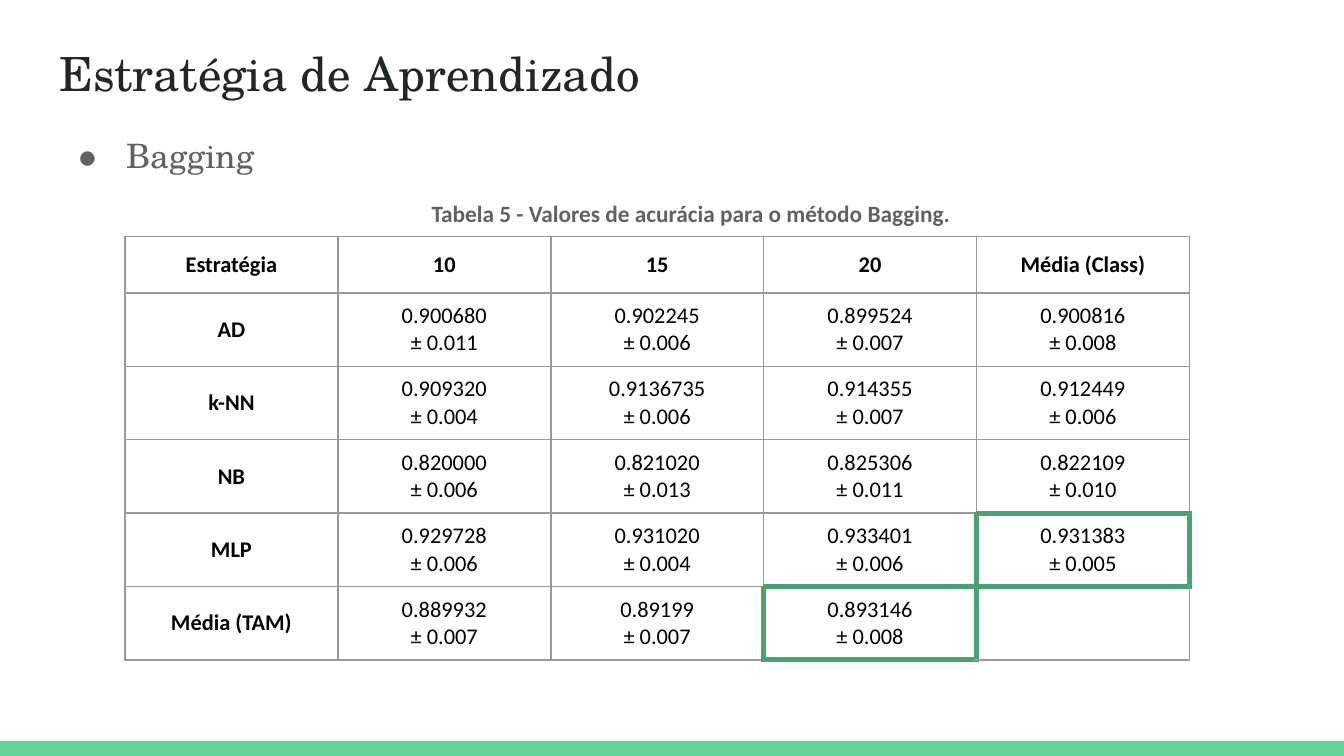
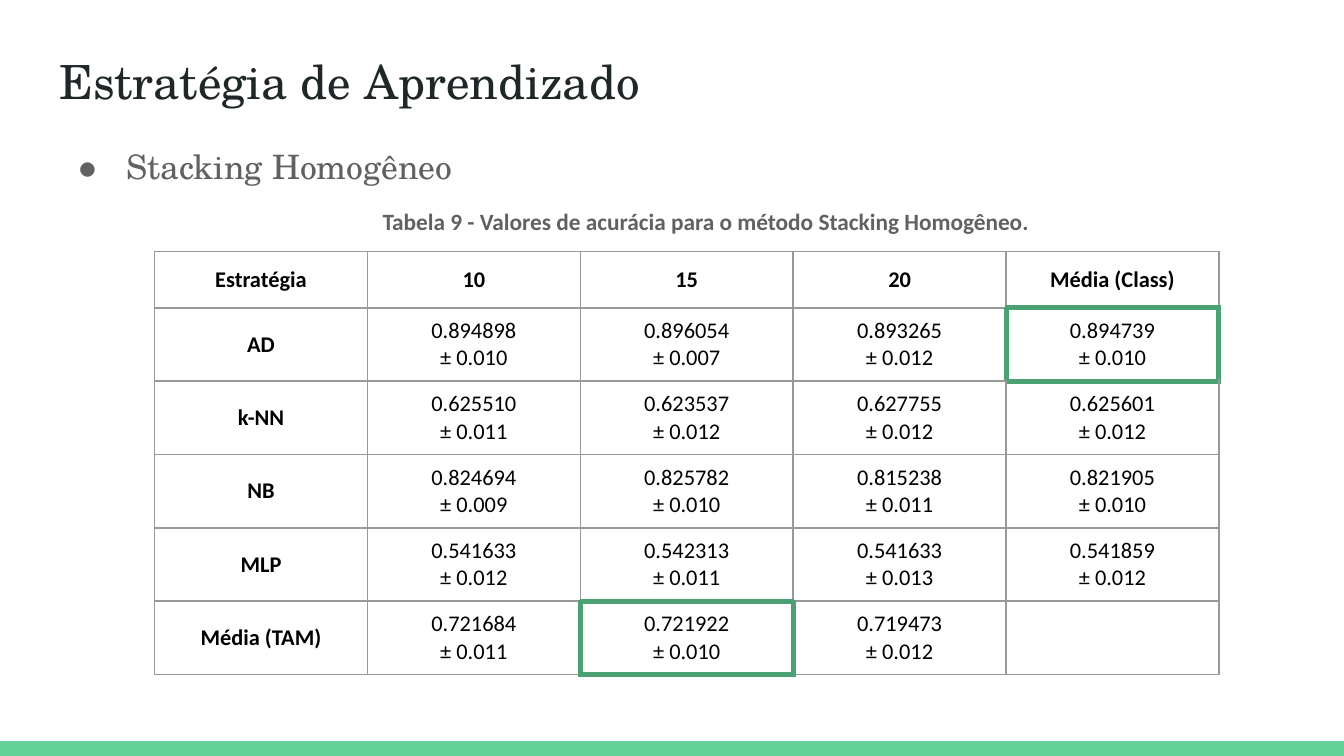
from dataclasses import dataclass

from lxml import etree
from pptx import Presentation
from pptx.dml.color import RGBColor
from pptx.enum.shapes import MSO_SHAPE
from pptx.enum.text import MSO_ANCHOR, MSO_AUTO_SIZE, PP_ALIGN
from pptx.oxml.ns import qn
from pptx.util import Inches, Pt

LEFT, CENTER = PP_ALIGN.LEFT, PP_ALIGN.CENTER
TOP, MIDDLE = MSO_ANCHOR.TOP, MSO_ANCHOR.MIDDLE
NO_FIT, GROW = MSO_AUTO_SIZE.NONE, MSO_AUTO_SIZE.SHAPE_TO_FIT_TEXT
RECTANGLE = MSO_SHAPE.RECTANGLE


@dataclass(frozen=True)
class Theme:
    band: str = "63D297"
    title: str = "202729"
    body: str = "616161"
    cell: str = "000000"
    grid: str = "999999"
    highlight: str = "4BA173"
    serif: str = "TeX Gyre Schola"
    sans: str = "Calibri"
    title_size: float = 25.2
    body_size: float = 18
    caption_size: float = 12.5
    cell_size: float = 12
    grid_width: float = 1
    highlight_width: float = 3


THEME = Theme()
SLIDE_W = 10
SLIDE_H = SLIDE_W * 9 / 16
BAND_H = 0.11
TITLE = "Estratégia de Aprendizado"
HEADER = ["Estratégia", "10", "15", "20", "Média (Class)"]
TABLE_W, ROW_H, CELL_INSET = 7.92, 0.42, 0.07

# Boxes are left, top, width, height; highlights are (row, column)
SLIDES = [
    dict(
        title_box=(0.34, 0.23, 9.32, 0.63),
        topic="Bagging",
        topic_box=(0.34, 0.86, 9.32, 3.97),
        caption="Tabela 5 - Valores de acurácia para o método Bagging.",
        caption_box=(1.73, 1.35, 6.32, 0.41),
        table_at=(0.93, 1.76),
        highlights={(4, 4), (5, 3)},
        rows=[
            ["AD", "0.900680 ± 0.011", "0.902245 ± 0.006", "0.899524 ± 0.007", "0.900816 ± 0.008"],
            ["k-NN", "0.909320 ± 0.004", "0.9136735 ± 0.006", "0.914355 ± 0.007", "0.912449 ± 0.006"],
            ["NB", "0.820000 ± 0.006", "0.821020 ± 0.013", "0.825306 ± 0.011", "0.822109 ± 0.010"],
            ["MLP", "0.929728 ± 0.006", "0.931020 ± 0.004", "0.933401 ± 0.006", "0.931383 ± 0.005"],
            ["Média (TAM)", "0.889932 ± 0.007", "0.89199 ± 0.007", "0.893146 ± 0.008", ""],
        ],
    ),
    dict(
        title_box=(0.34, 0.29, 9.32, 0.63),
        topic="Stacking Homogêneo",
        topic_box=(0.34, 0.94, 9.32, 3.74),
        caption="Tabela 9 - Valores de acurácia para o método Stacking Homogêneo.",
        caption_box=(1.84, 1.41, 6.32, 0.41),
        table_at=(1.15, 1.87),
        highlights={(1, 4), (5, 2)},
        rows=[
            ["AD", "0.894898 ± 0.010", "0.896054 ± 0.007", "0.893265 ± 0.012", "0.894739 ± 0.010"],
            ["k-NN", "0.625510 ± 0.011", "0.623537 ± 0.012", "0.627755 ± 0.012", "0.625601 ± 0.012"],
            ["NB", "0.824694 ± 0.009", "0.825782 ± 0.010", "0.815238 ± 0.011", "0.821905 ± 0.010"],
            ["MLP", "0.541633 ± 0.012", "0.542313 ± 0.011", "0.541633 ± 0.013", "0.541859 ± 0.012"],
            ["Média (TAM)", "0.721684 ± 0.011", "0.721922 ± 0.010", "0.719473 ± 0.012", ""],
        ],
    ),
]


def inches(box):
    return [Inches(v) for v in box]


def style_text(tf, font, size, color, align, bold=False):
    for p in tf.paragraphs:
        p.alignment = align
        for r in p.runs:
            r.font.name = font
            r.font.size = Pt(size)
            r.font.bold = bold
            r.font.color.rgb = RGBColor.from_string(color)


def fill_frame(sp, box, text, fit):
    """Place a text shape, set its frame and return the frame."""
    sp.left, sp.top, sp.width, sp.height = inches(box)
    tf = sp.text_frame
    tf.word_wrap = True
    tf.auto_size = fit
    tf.vertical_anchor = TOP
    tf.margin_left = tf.margin_right = tf.margin_top = tf.margin_bottom = Inches(0.1)
    tf.text = text
    return tf


def set_indent(p, margin, indent):
    pPr = p._p.get_or_add_pPr()
    pPr.set("marL", str(Inches(margin)))
    pPr.set("indent", str(Inches(indent)))
    return pPr


def add_band(prs, slide):
    """Build the bottom band and move it to the master."""
    sp = slide.shapes.add_shape(
        RECTANGLE, *inches((0, SLIDE_H - BAND_H, SLIDE_W, BAND_H)))
    sp.shadow.inherit = False
    sp.fill.solid()
    sp.fill.fore_color.rgb = RGBColor.from_string(THEME.band)
    sp.line.fill.background()
    prs.slide_master.shapes.element.append(sp.element)


def add_title(slide, box):
    tf = fill_frame(slide.shapes.title, box, TITLE, NO_FIT)
    style_text(tf, THEME.serif, THEME.title_size, THEME.title, LEFT)


def add_topic(slide, box, text):
    tf = fill_frame(slide.placeholders[1], box, text, NO_FIT)
    style_text(tf, THEME.serif, THEME.body_size, THEME.body, LEFT)
    p = tf.paragraphs[0]
    p.line_spacing = 1.15
    p.space_before = Pt(0)
    pPr = set_indent(p, 0.5, -0.38)
    color = etree.SubElement(pPr, qn("a:buClr"))
    etree.SubElement(color, qn("a:srgbClr"), val=THEME.body)
    etree.SubElement(pPr, qn("a:buFont"), typeface=THEME.serif)
    etree.SubElement(pPr, qn("a:buChar"), char="●")


def add_caption(slide, box, text):
    sp = slide.shapes.add_textbox(*inches(box))
    tf = fill_frame(sp, box, text, GROW)
    style_text(tf, THEME.sans, THEME.caption_size, THEME.body, CENTER, bold=True)
    p = tf.paragraphs[0]
    p.line_spacing = 1.15
    p.space_after = Pt(12)
    set_indent(p, 0.5, 0)


def set_borders(cell, row, col, highlights):
    """An edge is highlighted when a cell on either side of it is."""
    neighbours = {
        "a:lnL": (row, col - 1),
        "a:lnR": (row, col + 1),
        "a:lnT": (row - 1, col),
        "a:lnB": (row + 1, col),
    }
    tcPr = cell._tc.get_or_add_tcPr()
    for i, (tag, neighbour) in enumerate(neighbours.items()):
        marked = bool({(row, col), neighbour} & highlights)
        width = THEME.highlight_width if marked else THEME.grid_width
        ln = etree.Element(qn(tag), w=str(Pt(width)))
        fill = etree.SubElement(ln, qn("a:solidFill"))
        etree.SubElement(fill, qn("a:srgbClr"),
                         val=THEME.highlight if marked else THEME.grid)
        tcPr.insert(i, ln)


def add_accuracy_table(slide, at, rows, highlights):
    n_rows, n_cols = len(rows), len(HEADER)
    box = (*at, TABLE_W, n_rows * ROW_H)
    table = slide.shapes.add_table(n_rows, n_cols, *inches(box)).table
    table.first_row = table.horz_banding = False
    for i, row in enumerate(rows):
        table.rows[i].height = Inches(ROW_H)
        for j, text in enumerate(row):
            cell = table.cell(i, j)
            cell.text_frame.text = text.replace(" ±", "\n±")
            cell.vertical_anchor = MIDDLE
            cell.margin_left = cell.margin_right = Inches(CELL_INSET)
            cell.margin_top = cell.margin_bottom = Inches(CELL_INSET)
            cell.fill.background()
            style_text(cell.text_frame, THEME.sans, THEME.cell_size, THEME.cell,
                       CENTER, bold=i == 0 or j == 0)
            set_borders(cell, i, j, highlights)


def add_results_slide(prs, data):
    slide = prs.slides.add_slide(prs.slide_layouts[1])
    add_title(slide, data["title_box"])
    add_topic(slide, data["topic_box"], data["topic"])
    add_accuracy_table(slide, data["table_at"],
                       [HEADER] + data["rows"], data["highlights"])
    add_caption(slide, data["caption_box"], data["caption"])
    return slide


def main():
    prs = Presentation()
    prs.slide_width, prs.slide_height = Inches(SLIDE_W), Inches(SLIDE_H)
    slides = [add_results_slide(prs, data) for data in SLIDES]
    add_band(prs, slides[0])
    prs.save("out.pptx")


if __name__ == "__main__":
    main()
